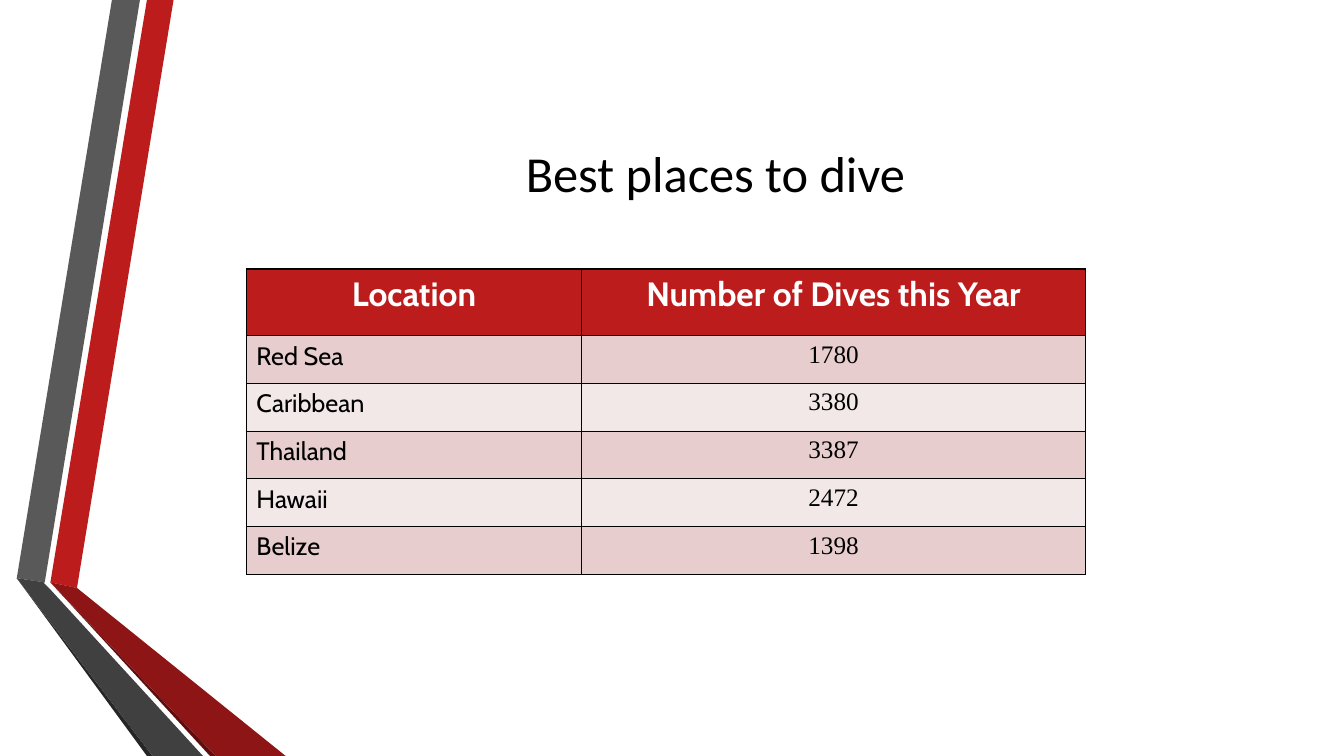
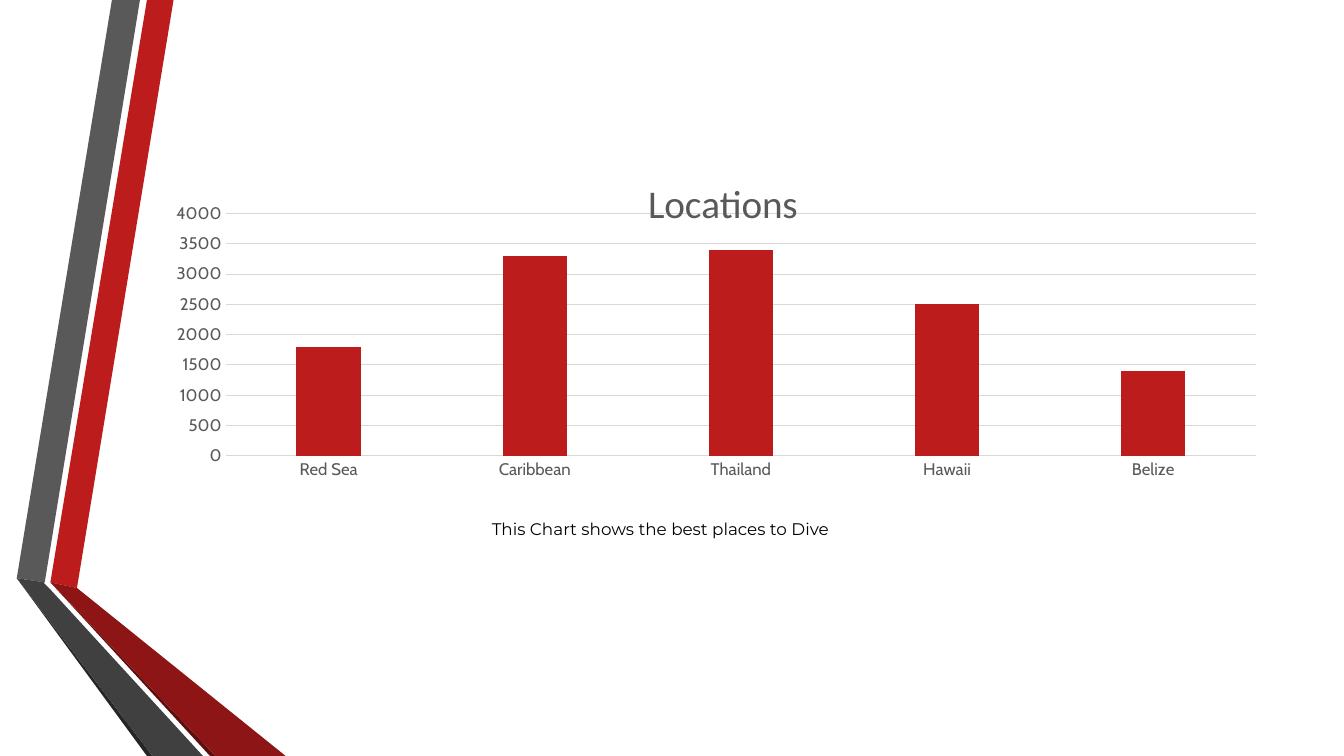
from pptx import Presentation
from pptx.chart.data import CategoryChartData
from pptx.dml.color import RGBColor
from pptx.enum.chart import XL_CHART_TYPE, XL_TICK_MARK
from pptx.enum.text import MSO_ANCHOR, MSO_AUTO_SIZE, PP_ALIGN
from pptx.oxml import parse_xml
from pptx.oxml.ns import nsdecls
from pptx.util import Pt

COLUMNS = XL_CHART_TYPE.COLUMN_CLUSTERED
NO_TICK = XL_TICK_MARK.NONE
MIDDLE = MSO_ANCHOR.MIDDLE
NO_FIT = MSO_AUTO_SIZE.NONE
LEFT, CENTER = PP_ALIGN.LEFT, PP_ALIGN.CENTER

WIDTH, HEIGHT = 960, 540
TITLE_ONLY = 5
RED, BLACK, WHITE, GRAY, GRID = "BC1C1C", "000000", "FFFFFF", "595959", "D9D9D9"
ROW_FILLS = ["E7CDCD", "F3E8E8"]
HEAD_FONT, BODY_FONT, NUMBER_FONT = "Calibri", "Cabin", "Times New Roman"

BANDS = [
    (RED, [(36, 416.2), (55.4, 419.6), (124.2, 0), (104.6, 0)]),
    (GRAY, [(100, 0), (80, 0), (11.8, 412.6), (31.7, 415.6)]),
    ("262626", [(11.8, 412.6), (104.6, HEIGHT), (108.7, HEIGHT)]),
    ("5E0E0E", [(36, 416.5), (149.8, HEIGHT), (154, HEIGHT)]),
    ("8D1515", [(36, 416.2), (153.8, HEIGHT), (203.6, HEIGHT), (55.4, 419.6)]),
    ("404040", [(145.4, HEIGHT), (34.6, 419.8), (31.3, 416.2), (31.7, 415.6),
                (11.8, 412.6), (108.7, HEIGHT)]),
]


def rgb(color):
    """Turn a hex string into a colour."""
    return RGBColor.from_string(color)


def set_font(font, name, size, color, bold=False):
    """Format a font."""
    font.name, font.size, font.bold = name, Pt(size), bold
    font.color.rgb = rgb(color)


def write(p, text, name, size, color, align=CENTER, bold=False):
    """Add one formatted run to a paragraph."""
    p.alignment = align
    r = p.add_run()
    r.text = text
    set_font(r.font, name, size, color, bold)


def border(cell, color, width):
    """Draw a line on all four sides of a cell."""
    tc_pr = cell._tc.get_or_add_tcPr()
    for i, side in enumerate("LRTB"):
        tc_pr.insert(i, parse_xml(
            f'<a:ln{side} {nsdecls("a")} w="{Pt(width)}"><a:solidFill>'
            f'<a:srgbClr val="{color}"/></a:solidFill></a:ln{side}>'))


def place_part(part, index, target="", **fractions):
    """Fix a part of a chart, in fractions of the chart."""
    for old in part.findall("{*}layout"):
        part.remove(old)
    values = "".join(f'<c:{tag} val="{value}"/>' for tag, value in fractions.items())
    part.insert(index, parse_xml(
        f'<c:layout {nsdecls("c")}><c:manualLayout>{target}'
        f'<c:xMode val="edge"/><c:yMode val="edge"/>{values}'
        '</c:manualLayout></c:layout>'))


class Deck:
    """Holds the presentation, its style and the current slide."""

    def __init__(self):
        """Start a widescreen presentation."""
        self.prs = Presentation()
        self.prs.slide_width, self.prs.slide_height = Pt(WIDTH), Pt(HEIGHT)
        self.layout = self.prs.slide_layouts[TITLE_ONLY]
        self.s = None

    def slide(self):
        """Add a slide; the first one also gives the layout its bands."""
        first = self.s is None
        self.s = self.prs.slides.add_slide(self.layout)
        if first:
            self.bands()

    def bands(self):
        """Draw the folded ribbons and move them to the shared layout."""
        for i, (color, points) in enumerate(BANDS):
            builder = self.s.shapes.build_freeform(*points[0], scale=Pt(1))
            builder.add_line_segments(points[1:], close=True)
            sp = builder.convert_to_shape()
            sp.shadow.inherit = False
            sp.fill.solid()
            sp.fill.fore_color.rgb = rgb(color)
            sp.line.fill.background()
            sp.element.nvSpPr.cNvPr.set("id", str(100 + i))
            self.layout.shapes.element.insert(2 + i, sp.element)

    def title(self, text, x, y, w, h, name, size):
        """Move and fill the title placeholder."""
        sp = self.s.shapes.title
        sp.left, sp.top, sp.width, sp.height = Pt(x), Pt(y), Pt(w), Pt(h)
        tf = sp.text_frame
        tf.word_wrap, tf.auto_size, tf.vertical_anchor = True, NO_FIT, MIDDLE
        write(tf.paragraphs[0], text, name, size, BLACK)

    def table(self, rows, x, y, widths, head_height, row_height):
        """Add a table with a red head and striped rows."""
        heights = [head_height] + [row_height] * (len(rows) - 1)
        table = self.s.shapes.add_table(
            len(rows), len(widths), Pt(x), Pt(y),
            Pt(sum(widths)), Pt(sum(heights))).table
        table.horz_banding = False
        for column, width in zip(table.columns, widths):
            column.width = Pt(width)
        for i, (row, height) in enumerate(zip(rows, heights)):
            table.rows[i].height = Pt(height)
            for j, text in enumerate(row):
                cell = table.cell(i, j)
                border(cell, BLACK, 1)
                cell.fill.solid()
                cell.fill.fore_color.rgb = rgb(ROW_FILLS[(i - 1) % 2] if i else RED)
                p = cell.text_frame.paragraphs[0]
                if i == 0:
                    write(p, text, BODY_FONT, 24, WHITE, bold=True)
                elif j == 0:
                    write(p, text, BODY_FONT, 18, BLACK, LEFT)
                else:
                    write(p, text, NUMBER_FONT, 18, BLACK)

    def column_chart(self, title, data, x, y, w, h):
        """Add a column chart with one series."""
        chart_data = CategoryChartData()
        chart_data.categories = list(data)
        chart_data.add_series("Series 1", list(data.values()))
        chart = self.s.shapes.add_chart(
            COLUMNS, Pt(x), Pt(y), Pt(w), Pt(h), chart_data).chart
        set_font(chart.font, BODY_FONT, 10, BLACK)
        chart.has_legend = False
        chart.has_title = True
        write(chart.chart_title.text_frame.paragraphs[0], title, HEAD_FONT, 28, GRAY)
        place_part(chart.element.find(".//{*}title"), 1, x=0.43, y=0.03)
        place_part(chart.element.find(".//{*}plotArea"), 0,
                   '<c:layoutTarget val="inner"/>',
                   x=0.054, y=0.155, w=0.933, h=0.704)

        plot = chart.plots[0]
        plot.vary_by_categories = False
        plot.gap_width, plot.overlap = 219, -27
        fill = plot.series[0].format.fill
        fill.solid()
        fill.fore_color.rgb = rgb(RED)

        cats, vals = chart.category_axis, chart.value_axis
        for axis in (cats, vals):
            axis.major_tick_mark = axis.minor_tick_mark = NO_TICK
            set_font(axis.tick_labels.font, BODY_FONT, 12, GRAY)
        vals.minimum_scale, vals.maximum_scale, vals.major_unit = 0, 4000, 500
        vals.format.line.fill.background()
        for line in (cats.format.line, vals.major_gridlines.format.line):
            line.color.rgb = rgb(GRID)
            line.width = Pt(0.75)


deck = Deck()

deck.slide()
deck.title("Best places to dive", 116.6, 54, 789, 138.2, HEAD_FONT, 36)
deck.table([
    ("Location", "Number of Dives this Year"),
    ("Red Sea", "1780"),
    ("Caribbean", "3380"),
    ("Thailand", "3387"),
    ("Hawaii", "2472"),
    ("Belize", "1398"),
], 176, 192.2, [239.4, 360], 47.6, 34.1)

deck.slide()
deck.title("This Chart shows the best places to Dive",
           320.6, 360.4, 302.4, 34.6, "Montserrat", 12)
deck.column_chart("Locations", {
    "Red Sea": 1800, "Caribbean": 3300, "Thailand": 3400,
    "Hawaii": 2500, "Belize": 1400,
}, 118.6, 114.3, 789, 246.2)

deck.prs.save("out.pptx")
